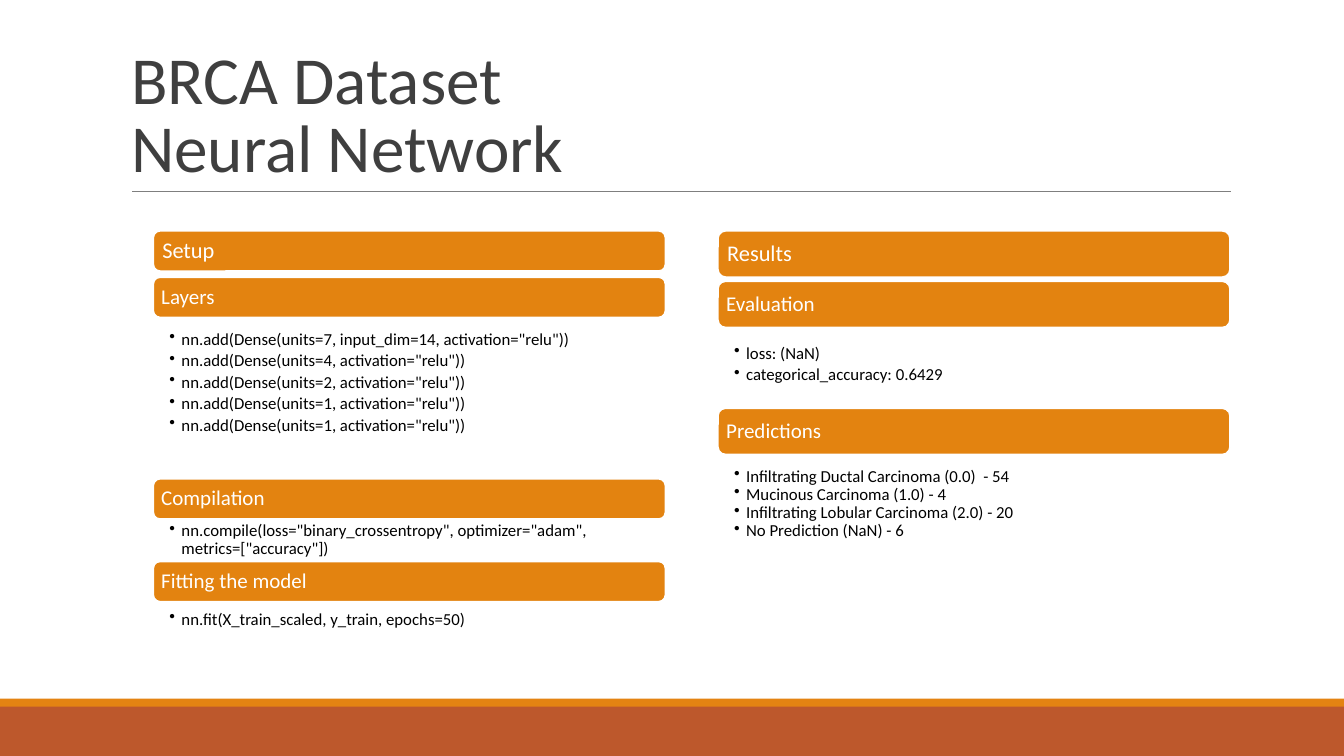
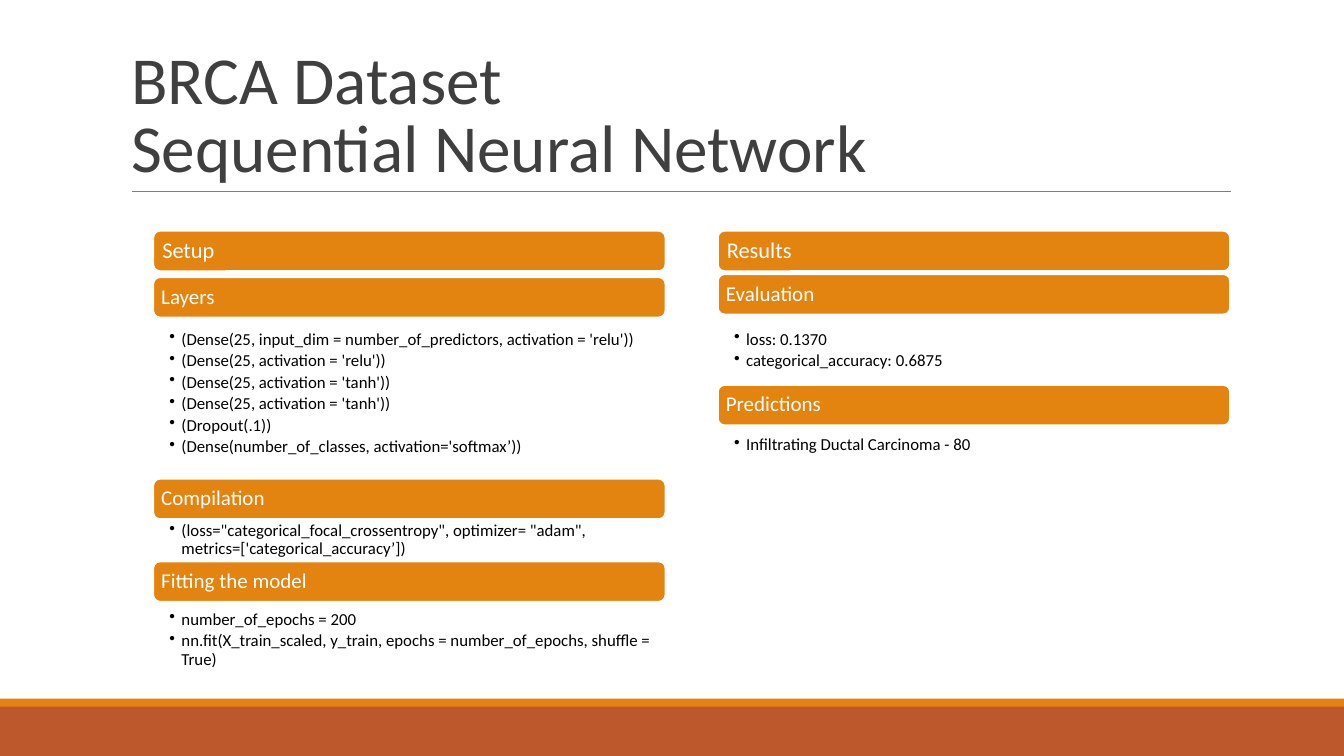
import dataclasses

import lxml.etree
import pptx
import pptx.dml.color
import pptx.enum.shapes
import pptx.enum.text
import pptx.oxml.ns
import pptx.util

Inches = pptx.util.Inches
Pt = pptx.util.Pt
Shapes = pptx.enum.shapes.MSO_SHAPE
Anchor = pptx.enum.text.MSO_ANCHOR


@dataclasses.dataclass(frozen=True)
class Theme:
    """Colours, font and type sizes that the slides share."""
    font: str = "Calibri"
    title_color: str = "3F3F3F"
    text_color: str = "000000"
    white: str = "FFFFFF"
    bar_color: str = "E38310"
    stripe_color: str = "E48312"
    footer_color: str = "BD582C"
    rule_color: str = "7F7F7F"
    title_size: float = 48
    column_size: float = 16
    section_size: float = 15
    bullet_size: float = 12
    title_spacing: float = 0.85
    text_spacing: float = 0.9
    bullet_gap: float = 2.4


@dataclasses.dataclass(frozen=True)
class Box:
    """A rectangle in inches."""
    left: float
    top: float
    width: float
    height: float

    def lengths(self):
        """Return the four values as slide lengths."""
        return [Inches(value) for value in (self.left, self.top, self.width, self.height)]

    def inner(self, top, height):
        """Return a full-width strip, its top measured from this box."""
        return Box(self.left, self.top + top, self.width, height)


@dataclasses.dataclass(frozen=True)
class Section:
    """A heading bar with its bullets, placed from the top of its column."""
    heading: str
    top: float
    list_offset: float
    list_height: float
    bullets: list
    gap: float = Theme.bullet_gap


THEME = Theme()
SLIDE = Box(0, 0, 13.33, 7.5)
TITLE = Box(1.2, 0.31, 11, 1.59)
SETUP = Box(1.52, 2.29, 5.08, 4.4)
RESULTS = Box(7.12, 2.29, 5.08, 4.4)


def rgb(value):
    """Turn a hexadecimal string into a colour."""
    return pptx.dml.color.RGBColor.from_string(value)


def set_frame(frame, anchor, margins):
    """Set wrapping, anchor and the four margins of a text frame."""
    frame.word_wrap = True
    frame.auto_size = pptx.enum.text.MSO_AUTO_SIZE.NONE
    frame.vertical_anchor = anchor
    (frame.margin_left, frame.margin_top,
     frame.margin_right, frame.margin_bottom) = [Inches(value) for value in margins]


def write_paragraphs(frame, texts, size, color, spacing, gap=0):
    """Write each text as a left-aligned paragraph and return the paragraphs."""
    for index, text in enumerate(texts):
        paragraph = frame.add_paragraph() if index else frame.paragraphs[0]
        paragraph.alignment = pptx.enum.text.PP_ALIGN.LEFT
        paragraph.line_spacing = spacing
        paragraph.space_before = Pt(gap if index else 0)
        run = paragraph.add_run()
        run.text = text
        run.font.name = THEME.font
        run.font.size = Pt(size)
        run.font.color.rgb = rgb(color)
    return frame.paragraphs


def add_block(slide, box, preset, color):
    """Add a flat filled shape without an outline."""
    shape = slide.shapes.add_shape(preset, *box.lengths())
    shape.shadow.inherit = False
    shape.fill.solid()
    shape.fill.fore_color.rgb = rgb(color)
    shape.line.fill.background()
    return shape


def add_footer(slide, box):
    """Draw the footer band and the stripe above it at the foot of the box."""
    add_block(slide, box.inner(7, 0.5), Shapes.RECTANGLE, THEME.footer_color)
    add_block(slide, box.inner(6.93, 0.08), Shapes.RECTANGLE, THEME.stripe_color)


def add_title(slide, box, lines):
    """Fill the title placeholder and draw the rule beneath it."""
    title = slide.shapes.title
    title.left, title.top, title.width, title.height = box.lengths()
    set_frame(title.text_frame, Anchor.BOTTOM, (0.1, 0.05, 0.1, 0.05))
    write_paragraphs(title.text_frame, lines, THEME.title_size,
                     THEME.title_color, THEME.title_spacing)
    left, bottom = box.left + 0.11, box.top + box.height
    rule = slide.shapes.add_connector(
        pptx.enum.shapes.MSO_CONNECTOR.STRAIGHT, Inches(left), Inches(bottom),
        Inches(left + 10.9), Inches(bottom))
    rule.line.color.rgb = rgb(THEME.rule_color)
    rule.line.width = Pt(0.75)
    properties = rule._element.spPr
    lxml.etree.SubElement(properties, pptx.oxml.ns.qn("a:effectLst"))


def add_bar(slide, box, text, size, margin):
    """Draw a rounded heading bar."""
    bar = add_block(slide, box, Shapes.ROUNDED_RECTANGLE, THEME.bar_color)
    bar.line.color.rgb = rgb(THEME.white)
    bar.line.width = Pt(1.25)
    set_frame(bar.text_frame, Anchor.MIDDLE, (margin,) * 4)
    write_paragraphs(bar.text_frame, [text], size, THEME.white, THEME.text_spacing)


def add_bullets(slide, box, texts, gap):
    """Add a bulleted list."""
    frame = slide.shapes.add_textbox(*box.lengths()).text_frame
    set_frame(frame, Anchor.TOP, (0.16, 0.02, 0.12, 0.02))
    paragraphs = write_paragraphs(frame, texts, THEME.bullet_size,
                                  THEME.text_color, THEME.text_spacing, gap)
    for paragraph in paragraphs:
        properties = paragraph._p.get_or_add_pPr()
        properties.set("marL", str(Inches(0.12)))
        properties.set("indent", str(-Inches(0.12)))
        bullet = lxml.etree.SubElement(properties, pptx.oxml.ns.qn("a:buChar"))
        bullet.set("char", "•")


def add_column(slide, box, heading, bar_height, sections):
    """Stack a column heading and its sections in the box."""
    add_bar(slide, box.inner(0, bar_height), heading, THEME.column_size, 0.07)
    for section in sections:
        add_bar(slide, box.inner(section.top, bar_height), section.heading,
                THEME.section_size, 0.06)
        list_box = box.inner(section.top + section.list_offset, section.list_height)
        add_bullets(slide, list_box, section.bullets, section.gap)


def add_network_slide(presentation, name, setup, bar_height, results):
    """Add a slide with the setup of a network beside its results."""
    layers, compilation, fitting = setup
    slide = presentation.slides.add_slide(presentation.slide_layouts[5])
    add_footer(slide, SLIDE)
    add_title(slide, TITLE, ["BRCA Dataset", name])
    add_column(slide, SETUP, "Setup", 0.4, [
        Section("Layers", 0.46, 0.51, 1.38, layers),
        Section("Compilation", 2.46, 0.41, 0.42, compilation),
        Section("Fitting the model", 3.28, 0.47, 0.65, fitting),
    ])
    add_column(slide, RESULTS, "Results", bar_height, results)


def main():
    """Build and save the presentation."""
    presentation = pptx.Presentation()
    presentation.slide_width = Inches(SLIDE.width)
    presentation.slide_height = Inches(SLIDE.height)
    add_network_slide(
        presentation, "Neural Network",
        (
            ['nn.add(Dense(units=7, input_dim=14, activation="relu"))']
            + [f'nn.add(Dense(units={units}, activation="relu"))' for units in (4, 2, 1, 1)],
            ['nn.compile(loss="binary_crossentropy", optimizer="adam", metrics=["accuracy"])'],
            ["nn.fit(X_train_scaled, y_train, epochs=50)"],
        ),
        0.46,
        [
            Section("Evaluation", 0.5, 0.61, 0.6,
                    ["loss: (NaN)", "categorical_accuracy: 0.6429"]),
            Section("Predictions", 1.76, 0.57, 1.35, [
                "Infiltrating Ductal Carcinoma (0.0)  - 54",
                "Mucinous Carcinoma (1.0) - 4",
                "Infiltrating Lobular Carcinoma (2.0) - 20",
                "No Prediction (NaN) - 6",
            ], 0),
        ],
    )
    add_network_slide(
        presentation, "Sequential Neural Network",
        (
            [
                "(Dense(25, input_dim = number_of_predictors, activation = 'relu'))",
                "(Dense(25, activation = 'relu'))",
                "(Dense(25, activation = 'tanh'))",
                "(Dense(25, activation = 'tanh'))",
                "(Dropout(.1))",
                "(Dense(number_of_classes, activation='softmax’))",
            ],
            ['(loss="categorical_focal_crossentropy", optimizer= "adam", '
             "metrics=['categorical_accuracy’])"],
            [
                "number_of_epochs = 200",
                "nn.fit(X_train_scaled, y_train, epochs = number_of_epochs, shuffle = True)",
            ],
        ),
        0.4,
        [
            Section("Evaluation", 0.43, 0.54, 0.5,
                    ["loss: 0.1370", "categorical_accuracy: 0.6875"]),
            Section("Predictions", 1.53, 0.49, 1.17,
                    ["Infiltrating Ductal Carcinoma - 80"]),
        ],
    )
    presentation.save("out.pptx")


if __name__ == "__main__":
    main()
